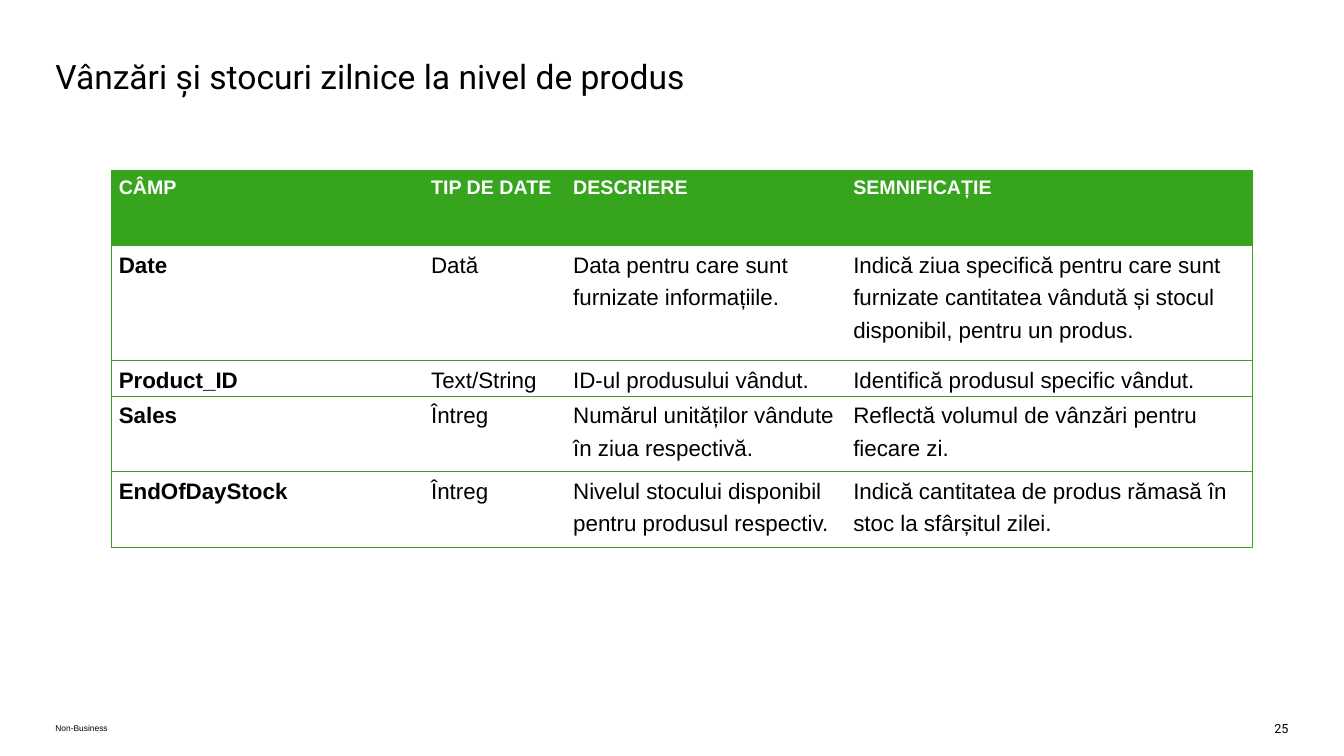
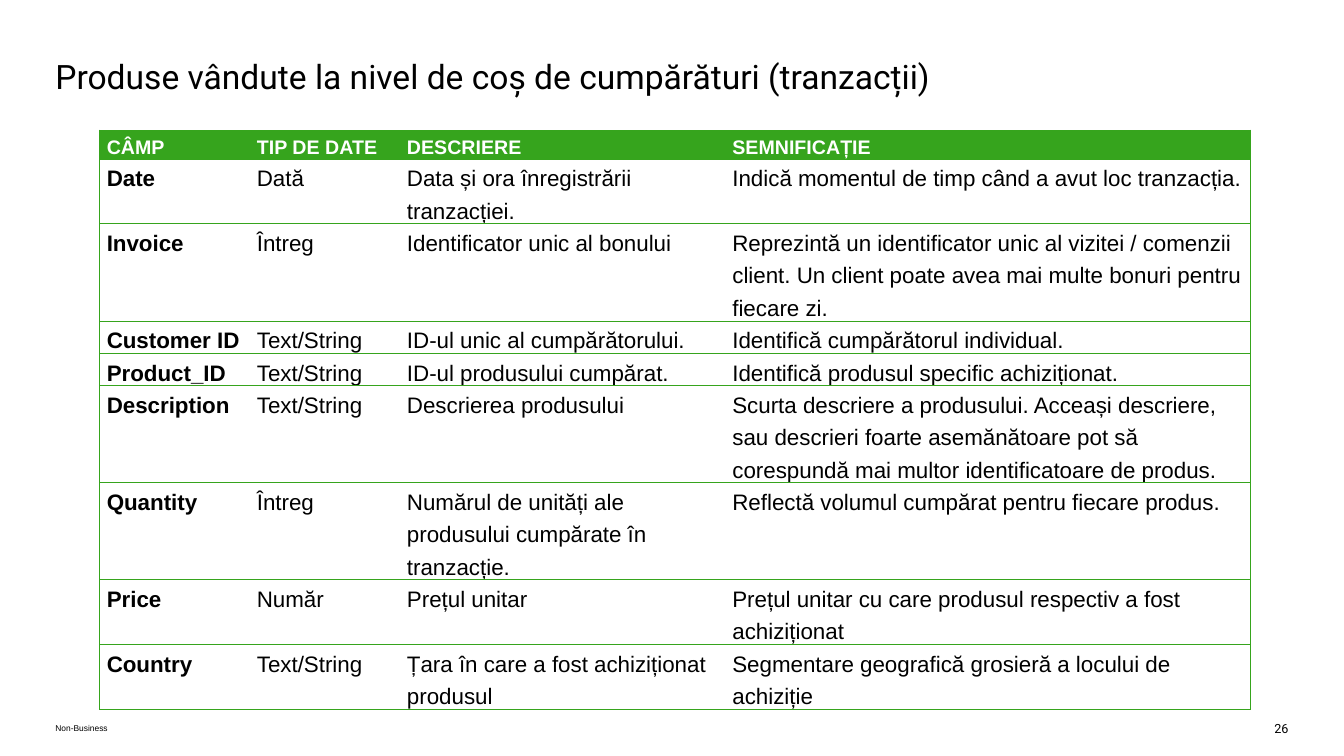
from dataclasses import dataclass

from lxml import etree
from pptx import Presentation
from pptx import util as u
from pptx.dml.color import RGBColor
from pptx.enum import text
from pptx.oxml import ns


@dataclass(frozen=True)
class Theme:
    green: RGBColor = RGBColor(0x36, 0xA4, 0x1D)
    black: RGBColor = RGBColor(0, 0, 0)
    white: RGBColor = RGBColor(255, 255, 255)
    heading_font: str = "Roboto"
    body_font: str = "Arial"
    title_size: int = 24
    header_size: int = 14
    body_size: int = 16
    number_size: int = 9
    label_size: int = 6
    line_spacing: float = 1.3
    border_width: float = 0.79
    left: float = 0.55
    footer_top: float = 7.15
    header: tuple = ("CÂMP", "TIP DE DATE", "DESCRIERE", "SEMNIFICAȚIE")


THEME = Theme()
NO_STYLE_ID = "{2D5ABB26-0587-4C30-8999-92F81FD0307C}"
LINE_HEIGHT = 0.32

SALES_ROWS = [
    ("Date", "Dată", "Data pentru care sunt furnizate informațiile.",
     "Indică ziua specifică pentru care sunt furnizate cantitatea vândută "
     "și stocul disponibil, pentru un produs."),
    ("Product_ID", "Text/String", "ID-ul produsului vândut.",
     "Identifică produsul specific vândut."),
    ("Sales", "Întreg", "Numărul unităților vândute în ziua respectivă.",
     "Reflectă volumul de vânzări pentru fiecare zi."),
    ("EndOfDayStock", "Întreg",
     "Nivelul stocului disponibil pentru produsul respectiv.",
     "Indică cantitatea de produs rămasă în stoc la sfârșitul zilei."),
]

BASKET_ROWS = [
    ("Date", "Dată", "Data și ora înregistrării tranzacției.",
     "Indică momentul de timp când a avut loc tranzacția."),
    ("Invoice", "Întreg", "Identificator unic al bonului",
     "Reprezintă un identificator unic al vizitei / comenzii client. "
     "Un client poate avea mai multe bonuri pentru fiecare zi."),
    ("Customer ID", "Text/String", "ID-ul unic al cumpărătorului.",
     "Identifică cumpărătorul individual."),
    ("Product_ID", "Text/String", "ID-ul produsului cumpărat.",
     "Identifică produsul specific achiziționat."),
    ("Description", "Text/String", "Descrierea produsului",
     "Scurta descriere a produsului. Acceași descriere, sau descrieri foarte "
     "asemănătoare pot să corespundă mai multor identificatoare de produs."),
    ("Quantity", "Întreg",
     "Numărul de unități ale produsului cumpărate în tranzacție.",
     "Reflectă volumul cumpărat pentru fiecare produs."),
    ("Price", "Număr", "Prețul unitar",
     "Prețul unitar cu care produsul respectiv a fost achiziționat"),
    ("Country", "Text/String", "Țara în care a fost achiziționat produsul",
     "Segmentare geografică grosieră a locului de achiziție"),
]
BASKET_LINES = (2, 3, 1, 1, 3, 3, 2, 2)


def set_all(target, values):
    for name, value in values.items():
        setattr(target, name, value)


def write(frame, content, font, size, color, bold=False, align=text.PP_ALIGN.LEFT):
    """Fill a text frame with one formatted paragraph."""
    frame.text = content
    paragraph = frame.paragraphs[0]
    paragraph.alignment = align
    set_all(paragraph.font, {"name": font, "size": u.Pt(size), "bold": bold})
    paragraph.font.color.rgb = color
    return paragraph


def set_frame(frame, anchor=text.MSO_ANCHOR.TOP, wrap=True):
    set_all(frame, {"margin_left": 0, "margin_right": 0, "margin_top": 0,
                    "margin_bottom": 0, "vertical_anchor": anchor,
                    "word_wrap": wrap, "auto_size": text.MSO_AUTO_SIZE.NONE})


def add_title(slide, content):
    title = slide.shapes.title
    set_all(title, {"left": u.Inches(THEME.left), "top": u.Inches(0.55),
                    "width": u.Inches(12.23), "height": u.Inches(0.4)})
    set_frame(title.text_frame)
    write(title.text_frame, content, THEME.heading_font, THEME.title_size, THEME.black)


def add_footer(slide, number):
    label = slide.shapes.add_textbox(u.Inches(THEME.left), u.Inches(THEME.footer_top),
                                     u.Inches(11.11), u.Inches(0.15)).text_frame
    set_frame(label, text.MSO_ANCHOR.MIDDLE)
    write(label, "Non-Business", THEME.body_font, THEME.label_size, THEME.black)

    page = slide.shapes.add_textbox(u.Inches(12.63), u.Inches(THEME.footer_top),
                                    u.Inches(0.16), u.Inches(0.15)).text_frame
    set_frame(page, wrap=False)
    write(page, str(number), THEME.heading_font, THEME.number_size, THEME.black,
          align=text.PP_ALIGN.RIGHT)


def set_borders(cell, sides):
    """Draw the given sides (a subset of L, R, T, B) and clear the others."""
    properties = cell._tc.get_or_add_tcPr()
    for side in "LRTB":
        line = etree.SubElement(properties, ns.qn(f"a:ln{side}"),
                                w=str(u.Pt(THEME.border_width)))
        if side in sides:
            fill = etree.SubElement(line, ns.qn("a:solidFill"))
            etree.SubElement(fill, ns.qn("a:srgbClr"), val=str(THEME.green))
        else:
            etree.SubElement(line, ns.qn("a:noFill"))


def fill_cell(cell, content, is_header, is_field, sides):
    set_borders(cell, sides)
    if is_header:
        cell.fill.solid()
        cell.fill.fore_color.rgb = THEME.green
    else:
        cell.fill.background()
    set_all(cell, {"margin_left": u.Inches(0.07), "margin_right": u.Inches(0.07),
                   "margin_top": 0, "margin_bottom": 0})
    paragraph = write(cell.text_frame, content, THEME.body_font,
                      THEME.header_size if is_header else THEME.body_size,
                      THEME.white if is_header else THEME.black,
                      bold=is_header or is_field)
    paragraph.line_spacing = THEME.line_spacing


def add_field_table(slide, left, top, widths, heights, rows):
    frame = slide.shapes.add_table(len(heights), len(widths), u.Inches(left),
                                   u.Inches(top), u.Inches(sum(widths)),
                                   u.Inches(sum(heights)))
    table = frame.table
    table.horz_banding = False
    table._tbl.tblPr.find(ns.qn("a:tableStyleId")).text = NO_STYLE_ID
    for column, width in zip(table.columns, widths):
        column.width = u.Inches(width)
    for row, height in zip(table.rows, heights):
        row.height = u.Inches(height)

    # Horizontal rules everywhere, vertical ones on the outer edges only
    for r, values in enumerate([THEME.header, *rows]):
        for c, value in enumerate(values):
            sides = "TB" + ("L" if c == 0 else "") + ("R" if c == len(widths) - 1 else "")
            fill_cell(table.cell(r, c), value, r == 0, c == 0, sides)


def add_field_slide(deck, number, title, **table):
    slide = deck.slides.add_slide(deck.slide_layouts.get_by_name("Title Only"))
    add_footer(slide, number)
    add_title(slide, title)
    add_field_table(slide, **table)


def main():
    deck = Presentation()
    set_all(deck, {"slide_width": u.Inches(13.34), "slide_height": u.Inches(7.5)})

    # Daily sales and stock
    add_field_slide(deck, 25, "Vânzări și stocuri zilnice la nivel de produs",
                    left=1.11, top=1.69, widths=(3.1, 1.41, 2.78, 4.03),
                    heights=(0.75, 1.14, 0.35, 0.75, 0.75), rows=SALES_ROWS)

    # Basket transactions: row height follows the number of text lines
    add_field_slide(deck, 26, "Produse vândute la nivel de coș de cumpărături (tranzacții)",
                    left=0.99, top=1.29, widths=(1.49, 1.49, 3.23, 5.21),
                    heights=(0.29, *(n * LINE_HEIGHT for n in BASKET_LINES)),
                    rows=BASKET_ROWS)

    deck.save("out.pptx")


if __name__ == "__main__":
    main()
